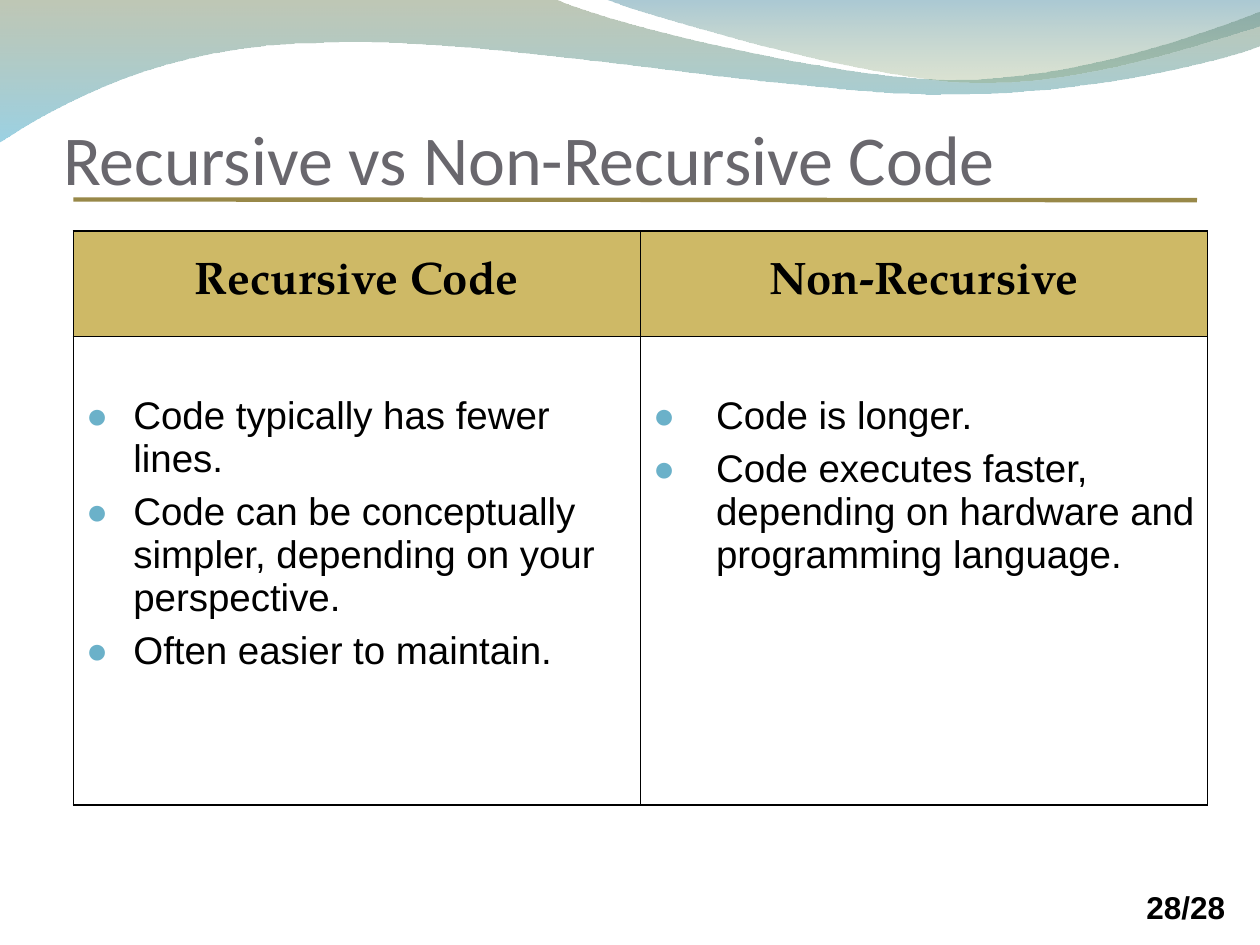
from dataclasses import dataclass

from lxml import etree
from pptx import Presentation
from pptx.dml.color import RGBColor
from pptx.enum.shapes import MSO_CONNECTOR
from pptx.enum.text import MSO_ANCHOR, MSO_AUTO_SIZE, PP_ALIGN
from pptx.oxml.ns import qn
from pptx.util import Pt

STRAIGHT = MSO_CONNECTOR.STRAIGHT
MIDDLE, TOP, BOTTOM = MSO_ANCHOR.MIDDLE, MSO_ANCHOR.TOP, MSO_ANCHOR.BOTTOM
LEFT, CENTER = PP_ALIGN.LEFT, PP_ALIGN.CENTER
TITLE_ONLY = 5

Point = tuple[float, float]


@dataclass(frozen=True)
class Style:
    font: str
    size: float
    color: str
    bold: bool = False


@dataclass(frozen=True)
class Theme:
    title: Style = Style("Calibri", 40, "69676D")
    header: Style = Style("TeX Gyre Pagella", 26, "000000", True)
    body: Style = Style("Arial", 22, "000000")
    number: Style = Style("Arial", 18, "000000", True)
    rule: str = "988848"
    header_fill: str = "CEB966"
    body_fill: str = "FFFFFF"
    border: str = "000000"
    bullet: str = "6BB1C9"
    outer_border: float = 1.08
    inner_border: float = 0.45


@dataclass(frozen=True)
class Wave:
    """Outline of one-point line segments and three-point Bézier segments."""
    start: Point
    segments: tuple[tuple[Point, ...], ...]
    stops: tuple[tuple[str, int], ...]  # colour, opacity in percent


@dataclass(frozen=True)
class Column:
    heading: str
    indent: float
    points: tuple[str, ...]


THEME = Theme()
WAVES = (
    Wave((0, -0.7), (
        ((316.8, -0.7),),
        ((342.7, 12.2), (478.1, 45.4), (545.8, 45.4)),
        ((614.2, 45.4), (689.8, 18.7), (720, 6.5)),
        ((720.7, 25.9),),
        ((707.8, 31.7), (626.4, 54.7), (537.1, 54)),
        ((447.8, 54), (275, 20.2), (185, 24.5)),
        ((92.9, 25.2), (33.1, 59.8), (-0.7, 81.4)),
    ), (("72845C", 45), ("49ACCD", 55))),
    Wave((344.9, -0.7), (
        ((366.5, 7.9), (491, 44.6), (553.7, 46.8)),
        ((616.3, 49.7), (691.9, 23), (720, 15.1)),
        ((720, 0),),
    ), (("42869E", 45), ("8AA26C", 30))),
)
COLUMNS = (
    Column("Recursive Code", 27, (
        "Code typically has fewer lines.",
        "Code can be conceptually simpler, depending on your perspective.",
        "Often easier to maintain.",
    )),
    Column("Non-Recursive", 36, (
        "Code is longer.",
        "Code executes faster, depending on hardware and programming language.",
    )),
)


def add_span(para, text: str, style: Style) -> None:
    span = para.add_run()
    span.text = text
    span.font.name = style.font
    span.font.size = Pt(style.size)
    span.font.bold = style.bold
    span.font.color.rgb = RGBColor.from_string(style.color)


def bend_segments(shape, wave: Wave) -> None:
    """Turn the straight segments that have control points into Bézier curves."""
    lines = list(shape._element.spPr.iter(qn("a:lnTo")))
    for line, segment in zip(lines, wave.segments):
        if len(segment) == 1:
            continue
        curve = etree.Element(qn("a:cubicBezTo"))
        for x, y in segment:
            etree.SubElement(curve, qn("a:pt"), x=str(Pt(x) - shape.left),
                             y=str(Pt(y) - shape.top))
        line.getparent().replace(line, curve)


def add_wave(page, wave: Wave) -> None:
    builder = page.shapes.build_freeform(*map(Pt, wave.start))
    corners = [tuple(map(Pt, segment[-1])) for segment in wave.segments]
    builder.add_line_segments(corners, close=True)
    shape = builder.convert_to_shape()
    bend_segments(shape, wave)
    shape.shadow.inherit = False
    shape.line.fill.background()
    shape.fill.gradient()
    shape.fill.gradient_angle = 270
    for stop, (color, _) in zip(shape.fill.gradient_stops, wave.stops):
        stop.color.rgb = RGBColor.from_string(color)
    colors = shape._element.spPr.iter(qn("a:srgbClr"))
    for node, (_, opacity) in zip(colors, wave.stops):
        etree.SubElement(node, qn("a:alpha"), val=str(opacity * 1000))


def add_rule(page) -> None:
    rule = page.shapes.add_connector(STRAIGHT, Pt(42), Pt(114), Pt(684), Pt(114.4))
    rule.line.color.rgb = RGBColor.from_string(THEME.rule)
    rule.line.width = Pt(2.5)
    etree.SubElement(rule._element.spPr, qn("a:effectLst"))


def set_title(page, text: str) -> None:
    title = page.shapes.title
    title.left, title.top, title.width, title.height = Pt(36), Pt(24), Pt(648), Pt(90)
    frame = title.text_frame
    frame.auto_size = MSO_AUTO_SIZE.NONE
    frame.vertical_anchor = BOTTOM
    frame.margin_left = frame.margin_right = frame.margin_bottom = 0
    frame.paragraphs[0].alignment = LEFT
    add_span(frame.paragraphs[0], text, THEME.title)


def add_page_number(page, text: str) -> None:
    box = page.shapes.add_textbox(Pt(648), Pt(504), Pt(66), Pt(29))
    box.text_frame.word_wrap = True
    add_span(box.text_frame.paragraphs[0], text, THEME.number)


def set_borders(cell, outer_edges: set[str]) -> None:
    properties = cell._tc.get_or_add_tcPr()
    for index, edge in enumerate("LRTB"):
        width = THEME.outer_border if edge in outer_edges else THEME.inner_border
        line = etree.Element(qn(f"a:ln{edge}"), w=str(Pt(width)))
        fill = etree.SubElement(line, qn("a:solidFill"))
        etree.SubElement(fill, qn("a:srgbClr"), val=THEME.border)
        properties.insert(index, line)


def set_bullet(para, indent: float) -> None:
    properties = para._p.get_or_add_pPr()
    properties.set("marL", str(Pt(indent)))
    properties.set("indent", str(-Pt(indent)))
    color = etree.SubElement(properties, qn("a:buClr"))
    etree.SubElement(color, qn("a:srgbClr"), val=THEME.bullet)
    etree.SubElement(properties, qn("a:buSzPct"), val="95000")
    etree.SubElement(properties, qn("a:buFont"), typeface=THEME.body.font)
    etree.SubElement(properties, qn("a:buChar"), char="●")


def fill_cell(cell, color: str, anchor, outer_edges: set[str]) -> None:
    cell.fill.solid()
    cell.fill.fore_color.rgb = RGBColor.from_string(color)
    cell.vertical_anchor = anchor
    set_borders(cell, outer_edges)


def add_comparison(page, columns: tuple[Column, ...]) -> None:
    table = page.shapes.add_table(2, len(columns), Pt(42), Pt(132), Pt(648), Pt(328)).table
    table.horz_banding = False
    table.rows[0].height, table.rows[1].height = Pt(60), Pt(268)
    for index, column in enumerate(columns):
        side = "L" if index == 0 else "R"
        header, body = table.cell(0, index), table.cell(1, index)
        fill_cell(header, THEME.header_fill, MIDDLE, {side, "T"})
        para = header.text_frame.paragraphs[0]
        para.alignment = CENTER
        add_span(para, column.heading, THEME.header)

        fill_cell(body, THEME.body_fill, TOP, {side, "B"})
        body.margin_top = Pt(33.6)
        frame = body.text_frame
        for number, point in enumerate(column.points):
            para = frame.add_paragraph() if number else frame.paragraphs[0]
            set_bullet(para, column.indent)
            if number:
                para.space_before = Pt(5.5)
            add_span(para, point, THEME.body)


def main() -> None:
    deck = Presentation()
    deck.slide_width, deck.slide_height = Pt(720), Pt(540)
    page = deck.slides.add_slide(deck.slide_layouts[TITLE_ONLY])
    for wave in WAVES:
        add_wave(page, wave)
    add_rule(page)
    add_page_number(page, "28/28")
    set_title(page, "Recursive vs Non-Recursive Code")
    add_comparison(page, COLUMNS)
    deck.save("out.pptx")


if __name__ == "__main__":
    main()
